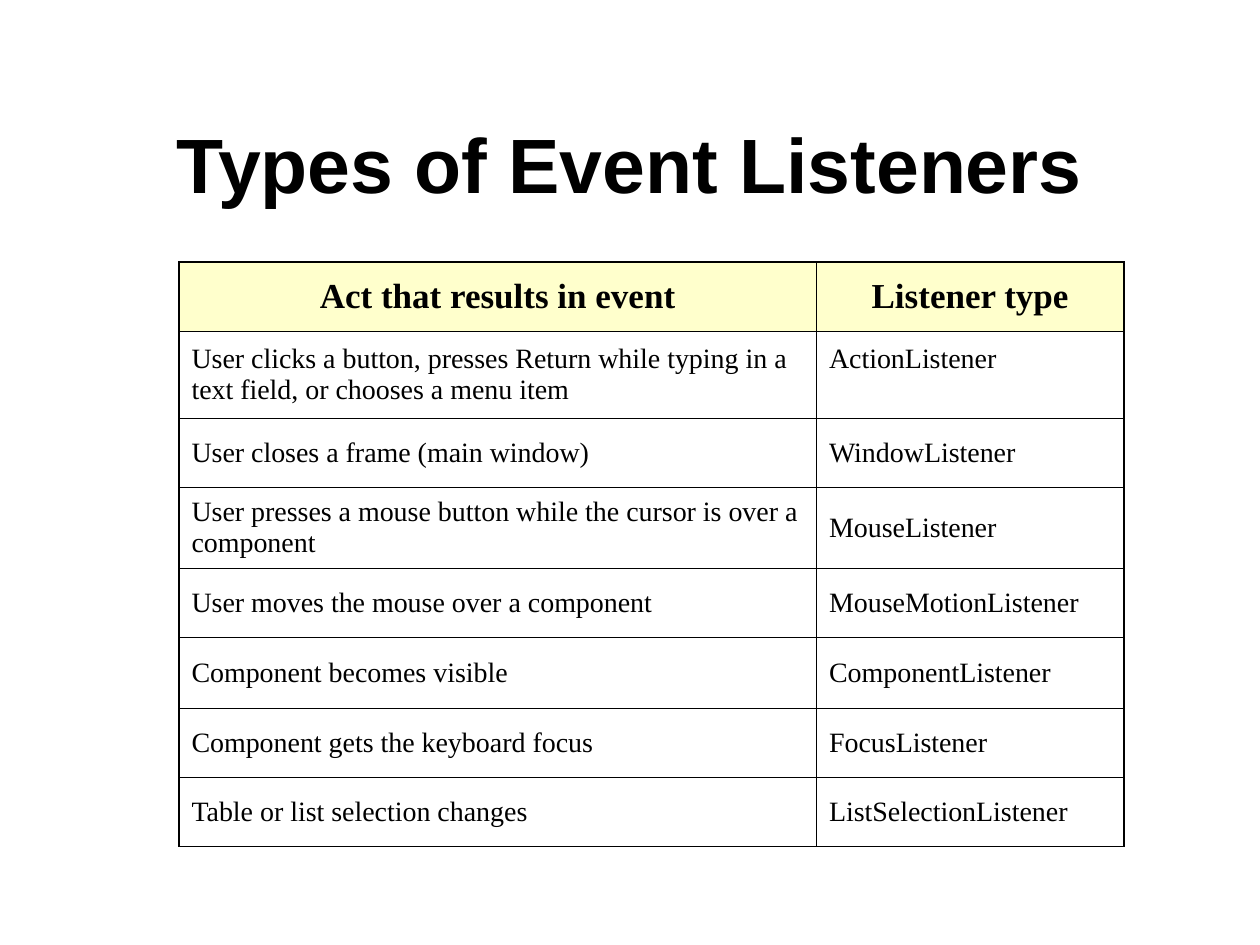
from lxml import etree
from pptx import Presentation
from pptx.dml.color import RGBColor
from pptx.enum.text import MSO_ANCHOR, PP_ALIGN
from pptx.oxml.ns import qn
from pptx.util import Inches, Pt

CENTER = PP_ALIGN.CENTER
LEFT = PP_ALIGN.LEFT
MIDDLE = MSO_ANCHOR.MIDDLE
TITLE_ONLY = 5

HEADINGS = ("Act that results in event", "Listener type")
LISTENERS = [
    ("User clicks a button, presses Return while typing in a text field, "
     "or chooses a menu item", "ActionListener"),
    ("User closes a frame (main window)", "WindowListener"),
    ("User presses a mouse button while the cursor is over a component",
     "MouseListener"),
    ("User moves the mouse over a component", "MouseMotionListener"),
    ("Component becomes visible", "ComponentListener"),
    ("Component gets the keyboard focus", "FocusListener"),
    ("Table or list selection changes", "ListSelectionListener"),
]
COLUMN_WIDTHS = (5.06, 2.44)
ROW_HEIGHTS = (0.55, 0.69, 0.55, 0.64, 0.55, 0.56, 0.55, 0.55)


def color(value):
    return RGBColor.from_string(value)


class SlideBuilder:
    title_font = "Arial"
    table_font = "Times New Roman"
    ink = "000000"
    header_fill = "FFFFCC"
    outer_line = 1.08
    inner_line = 0.45

    def __init__(self, page):
        self.page = page

    def add_text(self, frame, text, font, size, bold, align, space_before=0):
        frame.word_wrap = True
        para = frame.paragraphs[0]
        para.alignment = align
        para.space_before = Pt(space_before)
        span = para.add_run()
        span.text = text
        span.font.name = font
        span.font.size = Pt(size)
        span.font.bold = bold
        span.font.color.rgb = color(self.ink)

    def title(self, text, left, top, width, height):
        box = self.page.shapes.title
        box.left, box.top = Inches(left), Inches(top)
        box.width, box.height = Inches(width), Inches(height)
        box.text_frame.vertical_anchor = MIDDLE
        self.add_text(box.text_frame, text, self.title_font, 44, True, CENTER)

    def borders(self, cell, outer_sides):
        properties = cell._tc.get_or_add_tcPr()
        for position, side in enumerate("LRTB"):
            width = self.outer_line if side in outer_sides else self.inner_line
            line = etree.Element(qn(f"a:ln{side}"), w=str(Pt(width)))
            fill = etree.SubElement(line, qn("a:solidFill"))
            etree.SubElement(fill, qn("a:srgbClr"), val=self.ink)
            properties.insert(position, line)

    def table(self, rows, widths, heights, left, top):
        frame = self.page.shapes.add_table(
            len(rows), len(widths), Inches(left), Inches(top),
            Inches(sum(widths)), Inches(sum(heights)))
        table = frame.table
        table.first_row = table.horz_banding = False
        for column, width in zip(table.columns, widths):
            column.width = Inches(width)
        for row, height in zip(table.rows, heights):
            row.height = Inches(height)
        for r, texts in enumerate(rows):
            for c, text in enumerate(texts):
                cell = table.cell(r, c)
                cell.vertical_anchor = MIDDLE
                if r == 0:
                    cell.fill.solid()
                    cell.fill.fore_color.rgb = color(self.header_fill)
                    style = (20, True, CENTER, 5)
                else:
                    cell.fill.background()
                    style = (16, False, LEFT, 4)
                self.add_text(cell.text_frame, text, self.table_font, *style)
                edges = {"L": c == 0, "R": c == len(widths) - 1,
                         "T": r == 0, "B": r == len(rows) - 1}
                self.borders(cell, [side for side in edges if edges[side]])
        return table


def main():
    deck = Presentation()
    deck.slide_width, deck.slide_height = Inches(10), Inches(7.5)
    page = deck.slides.add_slide(deck.slide_layouts[TITLE_ONLY])
    builder = SlideBuilder(page)
    builder.title("Types of Event Listeners", 0.75, 0.67, 8.5, 1.25)
    table = builder.table([HEADINGS, *LISTENERS], COLUMN_WIDTHS, ROW_HEIGHTS,
                          1.42, 2.08)
    table.cell(1, 1).margin_bottom = Inches(0.3)
    deck.save("out.pptx")


if __name__ == "__main__":
    main()
